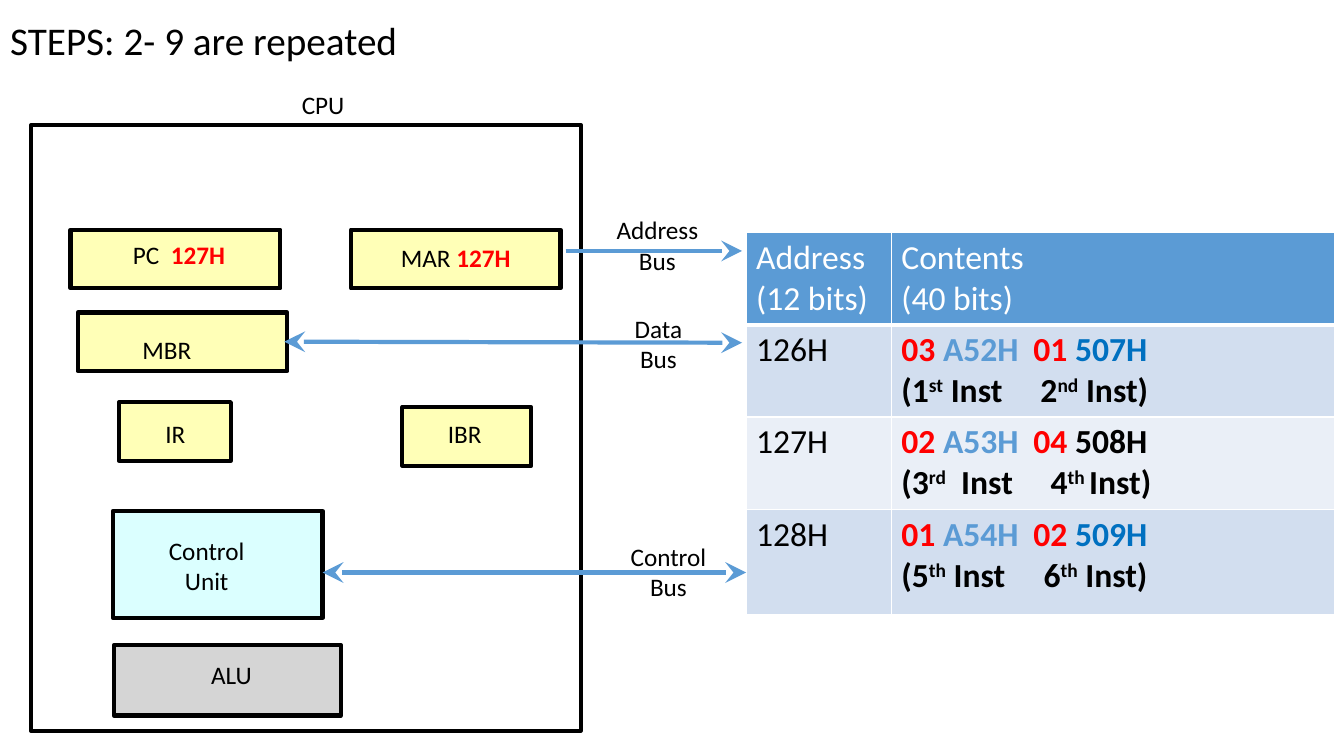
import dataclasses

import pptx
import pptx.dml.color
import pptx.enum.dml
import pptx.enum.shapes
import pptx.enum.text
import pptx.oxml
import pptx.oxml.ns
import pptx.util

PX = 9144


@dataclasses.dataclass(frozen=True)
class Theme:
    font: str = "Calibri"
    title_size: int = 28
    table_size: int = 24
    label_size: int = 18
    line_width: int = 3
    opacity: int = 70
    black: str = "000000"
    white: str = "FFFFFF"
    red: str = "FF0000"
    blue: str = "5B9BD5"
    deep_blue: str = "0070C0"
    band_dark: str = "D2DEEF"
    band_light: str = "EAEFF7"
    yellow: str = "FFFF99"
    cyan: str = "CCFFFF"
    grey: str = "C4C4C4"


THEME = Theme()

BOXES = [
    ((31, 124, 545, 601), None),
    ((113, 640, 225, 70), THEME.grey),
    ((112, 507, 208, 106), THEME.cyan),
    ((118, 399, 111, 58), THEME.yellow),
    ((70, 228, 208, 58), THEME.yellow),
    ((348, 228, 208, 58), THEME.yellow),
    ((77, 310, 208, 58), THEME.yellow),
    ((399, 404, 128, 58), THEME.yellow),
]
LABELS = [
    ((289, 84, 63, 40), ["CPU"]),
    ((157, 526, 96, 71), ["Control", "Unit"]),
    ((199, 649, 61, 40), ["ALU"]),
    ((154, 410, 40, 40), ["IR"]),
    ((434, 410, 54, 40), ["IBR"]),
    ((130, 327, 71, 40), ["MBR"]),
    ((619, 306, 68, 71), ["Data", "Bus"]),
    ((601, 208, 102, 71), ["Address", "Bus"]),
    ((615, 532, 96, 71), ["Control", "Bus"]),
]
REGISTERS = [
    ((77, 233, 201, 40), "PC  "),
    ((348, 236, 208, 40), "MAR "),
]
BUSES = [
    ((561, 249, 736, 249), ["tailEnd"]),
    ((282, 339, 736, 340), ["headEnd", "tailEnd"]),
    ((320, 568, 740, 568), ["headEnd", "tailEnd"]),
]
MEMORY = [
    ("126H", ("03 ", "A52H", "01", " 507H"), THEME.deep_blue,
     ("(1", "st", " Inst", "2", "nd", " Inst)"), 138),
    ("127H", ("02 ", "A53H", "04 ", "508H"), THEME.black,
     ("(3", "rd", "  Inst", "4", "th ", "Inst)"), 148),
    ("128H", ("01 ", "A54H", "02", " 509H"), THEME.deep_blue,
     ("(5", "th", " Inst", "6", "th", " Inst)"), 141),
]
OPCODE_TAB = 131


def set_values(target, values):
    for name, value in values.items():
        setattr(target, name, value)


def rgb(colour):
    return pptx.dml.color.RGBColor.from_string(colour)


def lengths(*values):
    return [value * PX for value in values]


def add_element(parent, tag, **attributes):
    element = pptx.oxml.parse_xml(
        f'<a:{tag} {pptx.oxml.ns.nsdecls("a")}/>')
    for name, value in attributes.items():
        element.set(name, str(value))
    parent.append(element)
    return element


def paint(fill, colour):
    fill.solid()
    fill.fore_color.rgb = rgb(colour)


def add_run(paragraph, text, size, colour=THEME.black, bold=False, raised=False):
    run = paragraph.add_run()
    run.text = text
    set_values(run.font, {
        "name": THEME.font, "size": pptx.util.Pt(size), "bold": bold})
    run.font.color.rgb = rgb(colour)
    if raised:
        run._r.get_or_add_rPr().set("baseline", "30000")


def add_paragraphs(frame, lines, size, colour=THEME.black, alignment=None):
    for index, line in enumerate(lines):
        paragraph = frame.add_paragraph() if index else frame.paragraphs[0]
        paragraph.alignment = alignment
        add_run(paragraph, line, size, colour)


def add_title(slide, text):
    title = slide.shapes.title
    set_values(title, dict(zip(
        ("left", "top", "width", "height"), lengths(0, 11, 1324, 63))))
    title.text_frame.vertical_anchor = pptx.enum.text.MSO_ANCHOR.MIDDLE
    add_paragraphs(title.text_frame, [text], THEME.title_size,
                   alignment=pptx.enum.text.PP_ALIGN.LEFT)
    title.text_frame.paragraphs[0].line_spacing = 0.9


def add_box(slide, place, colour):
    box = slide.shapes.add_shape(
        pptx.enum.shapes.MSO_SHAPE.RECTANGLE, *lengths(*place))
    box.shadow.inherit = False
    if colour:
        paint(box.fill, colour)
        shade = box._element.spPr.find(".//" + pptx.oxml.ns.qn("a:srgbClr"))
        add_element(shade, "alpha", val=THEME.opacity * 1000)
    else:
        box.fill.background()
    box.line.color.rgb = rgb(THEME.black)
    box.line.width = pptx.util.Pt(THEME.line_width)


def add_label(slide, place, lines):
    frame = slide.shapes.add_textbox(*lengths(*place)).text_frame
    set_values(frame, {
        "word_wrap": False,
        "auto_size": pptx.enum.text.MSO_AUTO_SIZE.SHAPE_TO_FIT_TEXT})
    add_paragraphs(frame, lines, THEME.label_size,
                   alignment=pptx.enum.text.PP_ALIGN.CENTER)
    return frame


def add_bus(slide, ends, arrowheads):
    bus = slide.shapes.add_connector(
        pptx.enum.shapes.MSO_CONNECTOR.STRAIGHT, *lengths(*ends))
    bus.line.color.rgb = rgb(THEME.blue)
    bus.line.width = pptx.util.Pt(THEME.line_width)
    properties = bus._element.spPr
    line = properties.find(pptx.oxml.ns.qn("a:ln"))
    for arrowhead in arrowheads:
        add_element(line, arrowhead, type="stealth", w="lg", len="lg")
    add_element(properties, "effectLst")


def style_cell(cell, colour, bottom_width=1):
    properties = cell._tc.get_or_add_tcPr()
    for side, width in (("L", 1), ("R", 1), ("T", 1), ("B", bottom_width)):
        border = add_element(properties, "ln" + side, w=pptx.util.Pt(width))
        fill = add_element(border, "solidFill")
        add_element(fill, "srgbClr", val=THEME.white)
    paint(cell.fill, colour)


def add_tab(paragraph, position):
    tabs = add_element(paragraph._p.get_or_add_pPr(), "tabLst")
    add_element(tabs, "tab", pos=position * PX, algn="l")


def add_instructions(frame, codes, last_colour, ordinals, ordinal_tab):
    size = THEME.table_size
    words = frame.paragraphs[0]
    add_tab(words, OPCODE_TAB)
    colours = (THEME.red, THEME.blue, THEME.red, last_colour)
    for index, (code, colour) in enumerate(zip(codes, colours)):
        add_run(words, "\t" + code if index == 2 else code, size, colour, True)
    names = frame.add_paragraph()
    add_tab(names, ordinal_tab)
    for index, part in enumerate(ordinals):
        add_run(names, "\t" + part if index == 3 else part, size,
                bold=True, raised=index % 3 == 1)


def add_memory(slide):
    table = slide.shapes.add_table(
        len(MEMORY) + 1, 2, *lengths(740, 231, 584, 372)).table
    for column, width in zip(table.columns, lengths(144, 440)):
        column.width = width
    for row, height in zip(table.rows, lengths(89, 89, 89, 105)):
        row.height = height
    headings = (["Address", "(12 bits)"], ["Contents", "(40 bits)"])
    for cell, lines in zip(table.rows[0].cells, headings):
        style_cell(cell, THEME.blue, THEME.line_width)
        add_paragraphs(cell.text_frame, lines, THEME.table_size, THEME.white)
    for index, (address, *instructions) in enumerate(MEMORY):
        cells = table.rows[index + 1].cells
        for cell in cells:
            style_cell(cell, THEME.band_light if index % 2 else THEME.band_dark)
        add_paragraphs(cells[0].text_frame, [address], THEME.table_size)
        add_instructions(cells[1].text_frame, *instructions)


def main():
    presentation = pptx.Presentation()
    set_values(presentation, dict(zip(
        ("slide_width", "slide_height"), lengths(1333, 750))))
    slide = presentation.slides.add_slide(presentation.slide_layouts[5])
    add_title(slide, "STEPS: 2- 9 are repeated")
    add_memory(slide)
    for place, colour in BOXES:
        add_box(slide, place, colour)
    for place, lines in LABELS:
        add_label(slide, place, lines)
    for place, name in REGISTERS:
        frame = add_label(slide, place, [name])
        add_run(frame.paragraphs[0], "127H", THEME.label_size, THEME.red, True)
    for ends, arrowheads in BUSES:
        add_bus(slide, ends, arrowheads)
    presentation.save("out.pptx")


if __name__ == "__main__":
    main()
